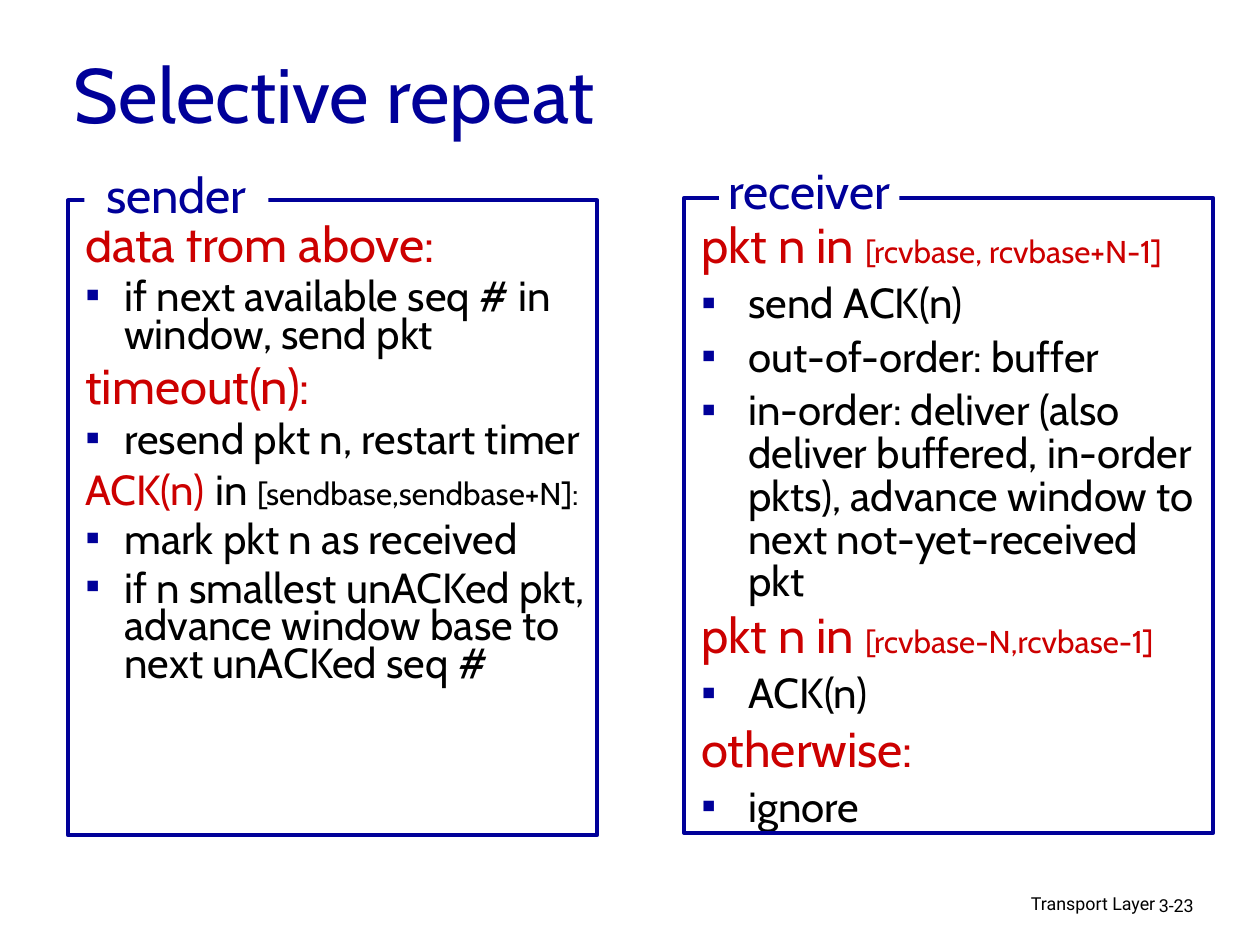
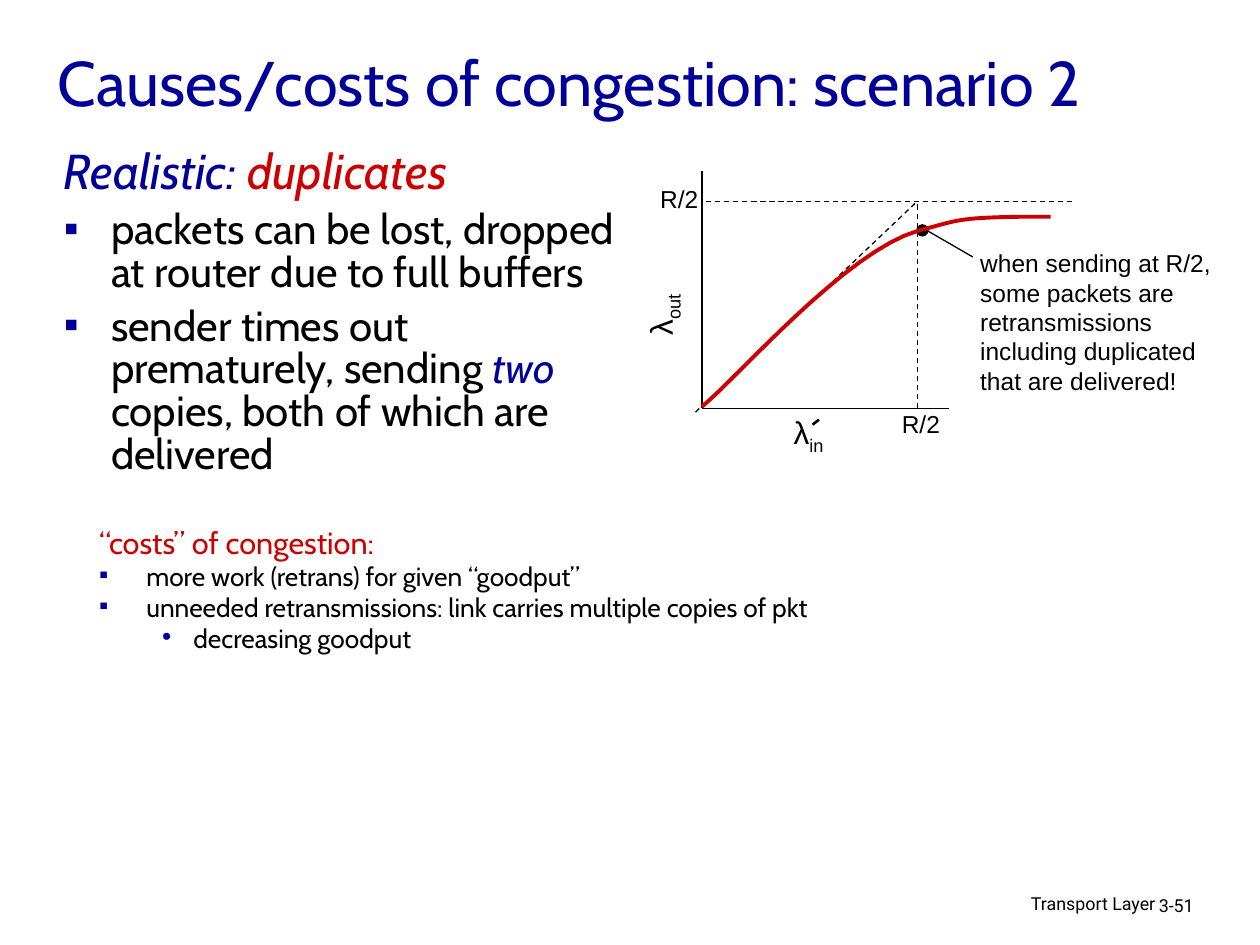
from lxml import etree
from pptx import Presentation
from pptx import util as u
from pptx.dml.color import RGBColor
from pptx.enum import dml, shapes, text
from pptx.oxml import ns

NAVY = RGBColor(0x00, 0x00, 0x99)
RED = RGBColor(0xCC, 0x00, 0x00)
BLACK = RGBColor(0x00, 0x00, 0x00)
WHITE = RGBColor(0xFF, 0xFF, 0xFF)

HEAD = {"name": "Cabin", "size": 28, "color": RED}
BODY = {"name": "Cabin", "size": 24, "color": BLACK}
RANGE = {**HEAD, "size": 18}
LABEL = {**HEAD, "color": NAVY}
COST = {**BODY, "size": 15}
FOOTER = {"name": "Roboto", "size": 10.2, "color": BLACK}
CHART = {"name": "Arial", "size": 14, "color": BLACK}
SYMBOL = {**CHART, "size": 18}
SUBSCRIPT = {**SYMBOL, "baseline": -25000}

CENTER = {"alignment": text.PP_ALIGN.CENTER}
RIGHT = {"alignment": text.PP_ALIGN.RIGHT}


def cubic(start, first, second, end, steps=16):
    for step in range(1, steps + 1):
        t = step / steps
        s = 1 - t
        yield tuple(s**3 * a + 3 * s * s * t * b + 3 * s * t * t * c + t**3 * d
                    for a, b, c, d in zip(start, first, second, end))


class Deck:
    def __init__(self):
        self.presentation = Presentation()
        self.presentation.slide_width = u.Cm(25.4)
        self.presentation.slide_height = u.Cm(19.05)
        self.slide = None

    def new_slide(self, number):
        self.slide = self.presentation.slides.add_slide(self.presentation.slide_layouts[6])
        self.text(15.49, 17.91, 8.05, 0.79, [([("Transport Layer", FOOTER)], RIGHT)], spacing=0.9)
        self.text(23.11, 17.96, 1.88, 0.76, [([(number, FOOTER)], {})], spacing=0.9)

    def title(self, left, top, height, words, size):
        box = self.text(left, top, 21.59, height, [([(words, {**LABEL, "size": size})], {})])
        box.text_frame.vertical_anchor = text.MSO_ANCHOR.MIDDLE

    def run(self, paragraph, words, style):
        run = paragraph.add_run()
        run.text = words
        for name, value in style.items():
            if name == "color":
                run.font.color.rgb = value
            elif name == "baseline":
                run._r.get_or_add_rPr().set("baseline", str(value))
            else:
                setattr(run.font, name, u.Pt(value) if name == "size" else value)

    def bullet(self, paragraph, mark, indent, hanging):
        properties = paragraph._p.get_or_add_pPr()
        properties.set("marL", str(u.Cm(indent)))
        properties.set("indent", str(-u.Cm(hanging)))
        color = etree.SubElement(properties, ns.qn("a:buClr"))
        etree.SubElement(color, ns.qn("a:srgbClr")).set("val", str(NAVY))
        etree.SubElement(properties, ns.qn("a:buFont")).set("typeface", "Arial")
        etree.SubElement(properties, ns.qn("a:buChar")).set("char", mark)

    def text(self, left, top, width, height, paragraphs, spacing=1.0, wrap=True):
        box = self.slide.shapes.add_textbox(*map(u.Cm, (left, top, width, height)))
        frame = box.text_frame
        frame.word_wrap = wrap
        for index, (runs, layout) in enumerate(paragraphs):
            paragraph = frame.add_paragraph() if index else frame.paragraphs[0]
            values = {"line_spacing": spacing, **layout}
            if "bullet" in values:
                self.bullet(paragraph, *values.pop("bullet"))
            if not index:
                values.pop("space_before", None)
            for name, value in values.items():
                setattr(paragraph, name, value)
            for words, style in runs:
                self.run(paragraph, words, style)
        return box

    def outline(self, shape, color, weight):
        shape.line.color.rgb = color
        shape.line.width = u.Pt(weight)

    def shape(self, kind, left, top, width, height, fill=None, line=None):
        shape = self.slide.shapes.add_shape(kind, *map(u.Cm, (left, top, width, height)))
        shape.shadow.inherit = False
        if fill is None:
            shape.fill.background()
        else:
            shape.fill.solid()
            shape.fill.fore_color.rgb = fill
        if line is None:
            shape.line.fill.background()
        else:
            self.outline(shape, line, 2.25)

    def panel(self, left, top, gap, label_box, label):
        rectangle = shapes.MSO_SHAPE.RECTANGLE
        self.shape(rectangle, left, top, 10.67, 12.8, line=NAVY)
        self.shape(rectangle, *gap, fill=WHITE)
        self.text(*label_box, [([(label, LABEL)], CENTER)], wrap=False)

    def line(self, start, end, weight=0.75, dashed=False, arrow=False):
        connector = self.slide.shapes.add_connector(
            shapes.MSO_CONNECTOR.STRAIGHT, *map(u.Cm, (*start, *end)))
        self.outline(connector, BLACK, weight)
        if dashed:
            connector.line.dash_style = dml.MSO_LINE.DASH
        if arrow:
            stroke = connector.line._get_or_add_ln()
            etree.SubElement(stroke, ns.qn("a:tailEnd")).set("type", "triangle")
        etree.SubElement(connector._element.spPr, ns.qn("a:effectLst"))

    def curve(self, points):
        start, *rest = [tuple(map(u.Cm, point)) for point in points]
        builder = self.slide.shapes.build_freeform(*start)
        builder.add_line_segments(rest, close=False)
        shape = builder.convert_to_shape()
        shape.shadow.inherit = False
        shape.fill.background()
        self.outline(shape, RED, 2.25)


def heading(*runs, before=6):
    return list(runs), {"space_before": u.Pt(before)}


def item(*runs, style=BODY, mark="▪", indent=0.95, hanging=0.95):
    styled = [(run, style) if isinstance(run, str) else run for run in runs]
    return styled, {"space_before": u.Pt(6), "bullet": (mark, indent, hanging)}


def sender_item(words):
    return item(words, indent=0.79, hanging=0.79)


def selective_repeat(deck):
    deck.new_slide("3-23")
    deck.title(1.24, 0.69, 2.34, "Selective repeat", 44)
    deck.text(1.47, 4.45, 10.59, 12.9, [
        heading(("data from above:", HEAD)),
        sender_item("if next available seq # in window, send pkt"),
        heading(("timeout(n):", HEAD), before=7),
        sender_item("resend pkt n, restart timer"),
        heading(("ACK(n)", {**BODY, "color": RED}), (" ", HEAD), ("in ", BODY),
                ("[sendbase,sendbase+N]:", {**RANGE, "color": BLACK}), before=4.5),
        sender_item("mark pkt n as received"),
        sender_item("if n smallest unACKed pkt, advance window base to next unACKed seq #"),
    ], spacing=0.75)
    sender_label = (1.7, 3.2, 3.71, 1.45)
    deck.panel(1.37, 4.04, sender_label, sender_label, "sender")

    deck.text(13.89, 4.39, 10.59, 12.9, [
        heading(("pkt n in ", HEAD), ("[rcvbase, rcvbase+N-1]", RANGE)),
        item("send ACK(n)"),
        item("out-of-order: buffer"),
        item("in-order: deliver (also deliver buffered, in-order pkts), "
             "advance window to next not-yet-received pkt"),
        heading(("pkt n in ", HEAD), ("[rcvbase-N,rcvbase-1]", RANGE), before=4.5),
        item("ACK(n)"),
        heading(("otherwise:", HEAD)),
        item("ignore"),
    ], spacing=0.85)
    deck.panel(13.79, 3.99, (14.5, 3.61, 3.63, 0.79), (14.2, 3.12, 4.22, 1.45), "receiver")


def throughput_plot(deck):
    axis_x, axis_y, limit_x, limit_y = 14.15, 8.23, 18.49, 4.06
    deck.line((axis_x, 3.45), (axis_x, axis_y))
    deck.line((21.62, limit_y), (axis_x, limit_y), dashed=True)
    deck.line((14.02, 8.31), (limit_x, limit_y), dashed=True)
    deck.line((limit_x, axis_y), (limit_x, limit_y), dashed=True)
    deck.shape(shapes.MSO_SHAPE.OVAL, 18.47, 4.52, 0.25, 0.25, fill=BLACK)
    deck.line((19.61, 5.18), (18.52, 4.55), arrow=True)
    origin, knee, plateau = (axis_x, 8.2), (18.52, 4.65), (20.6, 4.37)
    deck.curve([
        origin,
        *cubic(origin, (14.86, 7.62), (17.07, 5.05), knee),
        *cubic(knee, (19.3, 4.45), (19.25, 4.39), plateau),
        (21.18, 4.37),
    ])
    deck.line((19.13, axis_y), (axis_x, axis_y))
    for left, top in ((13.06, 3.58), (17.93, 8.13)):
        deck.text(left, top, 1.27, 0.86, [([("R/2", CHART)], {})], wrap=False)
    for left, top, width, subscript, rotation in (
            (12.5, 5.59, 1.73, "out", 270), (15.75, 8.2, 1.14, "in", 0)):
        symbol = deck.text(left, top, width, 1.12,
                           [([("λ", SYMBOL), (subscript, SUBSCRIPT)], {})], wrap=rotation > 0)
        symbol.rotation = rotation
    deck.line((16.38, 8.56), (16.51, 8.46), weight=1.5)
    deck.text(19.51, 4.88, 5.23, 3.23, [([(
        "when sending at R/2, some packets are retransmissions "
        "including duplicated that are delivered!", CHART)], {})])


def congestion(deck):
    deck.new_slide("3-51")
    throughput_plot(deck)
    deck.text(1.75, 10.67, 22.63, 2.74, [
        heading(("“costs” of congestion:", {**HEAD, "size": 17.5})),
        item("more work (retrans) for given “goodput”", style=COST),
        item("unneeded retransmissions: link carries multiple copies of pkt", style=COST),
        item("decreasing goodput", style=COST, mark="•", indent=1.9, hanging=0.63),
    ], spacing=0.65)
    deck.title(0.91, 0.43, 2.41, "Causes/costs of congestion: scenario 2", 36)
    deck.text(1.04, 2.9, 11.96, 5.33, [
        heading(("Realistic: ", {**LABEL, "italic": True}),
                ("duplicates", {**HEAD, "italic": True})),
        item("packets can be lost, dropped at router due to full buffers"),
        item("sender times out prematurely, sending ",
             ("two ", {**BODY, "color": NAVY, "italic": True}),
             "copies, both of which are delivered"),
    ], spacing=0.85)


def main():
    deck = Deck()
    selective_repeat(deck)
    congestion(deck)
    deck.presentation.save("out.pptx")


if __name__ == "__main__":
    main()
